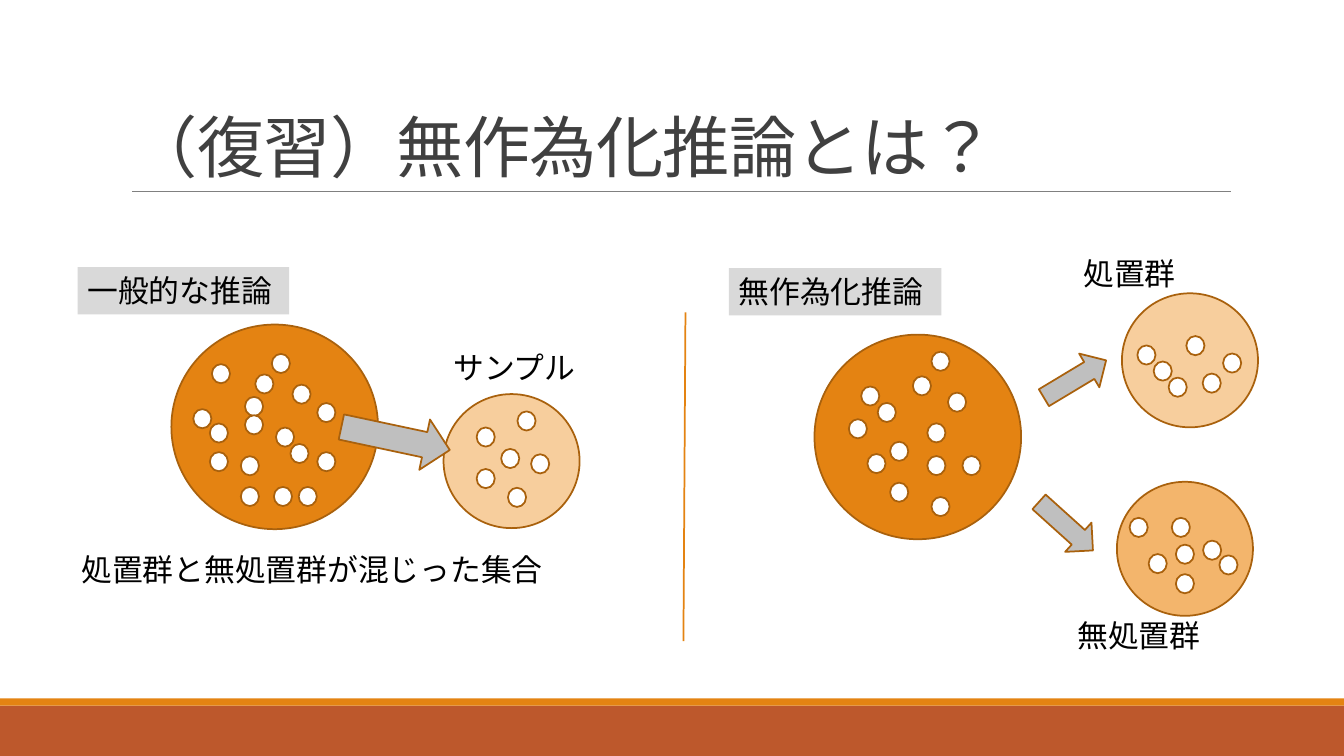
from dataclasses import dataclass

from lxml import etree
from pptx import Presentation
from pptx import util as u
from pptx.dml.color import RGBColor
from pptx.enum import lang, shapes, text
from pptx.oxml import ns

CELL = 0.1  # side of one grid cell in inches
COLS, ROWS = 133.33, 75
DOT_W, DOT_H = 1.8, 1.9
BIG = (20.5, 20.3)
SMALL = (13.5, 13.3)
LABEL_H = 4.7


@dataclass(frozen=True)
class Theme:
    font: str = "Calibri"
    title_size: float = 48
    body_size: float = 22
    outline_width: float = 1.25
    rule_width: float = 0.5
    title: str = "404040"
    ink: str = "000000"
    rule: str = "808080"
    accent: str = "E48312"
    footer: str = "BD582C"
    outline: str = "A9610D"
    treated: str = "F7CE9D"
    untreated: str = "F3B56C"
    arrow: str = "BFBFBF"
    tag: str = "D9D9D9"
    dot: str = "FFFFFF"


T = Theme()
OVAL = shapes.MSO_SHAPE.OVAL
RECT = shapes.MSO_SHAPE.RECTANGLE
ARROW = shapes.MSO_SHAPE.DOWN_ARROW

# Dot centres, in percent of the circle that holds them
MIXED_DOTS = [(24, 24), (45, 29), (40, 40), (40, 49), (55, 55), (62, 63), (75, 67),
              (15, 46), (23, 53), (23, 67), (38, 69), (38, 84), (54, 84), (66, 84),
              (75, 43), (63, 34), (53, 19)]
SAMPLE_DOTS = [(31, 32), (31, 63), (61, 20), (49, 48), (71, 52), (54, 77)]
POPULATION_DOTS = [(30, 63), (21, 46), (61, 13), (41, 57), (76, 64), (41, 77), (61, 84),
                   (27, 30), (35, 38), (59, 48), (52, 25), (69, 33), (59, 64)]
TREATED_DOTS = [(18, 46), (30, 58), (41, 70), (54, 39), (81, 52), (66, 67)]
UNTREATED_DOTS = [(30, 61), (16, 34), (50, 54), (70, 51), (50, 76), (47, 34), (82, 62)]


def grid(*cells):
    return [u.Inches(c * CELL) for c in cells]


def add_shape(s, kind, box, fill, outline=None, rotation=0):
    sp = s.shapes.add_shape(kind, *grid(*box))
    sp.shadow.inherit = False
    sp.rotation = rotation
    sp.fill.solid()
    sp.fill.fore_color.rgb = RGBColor.from_string(fill)
    if outline:
        sp.line.color.rgb = RGBColor.from_string(outline)
        sp.line.width = u.Pt(T.outline_width)
    else:
        sp.line.fill.background()
    return sp


def add_line(s, start, end, color, width):
    line = s.shapes.add_connector(shapes.MSO_CONNECTOR.STRAIGHT, *grid(*start, *end))
    line.line.color.rgb = RGBColor.from_string(color)
    line.line.width = u.Pt(width)
    etree.SubElement(line._element.spPr, ns.qn("a:effectLst"))


def write(sp, words, size=T.body_size, color=T.ink, anchor=text.MSO_ANCHOR.TOP):
    tf = sp.text_frame
    tf.word_wrap = True
    tf.vertical_anchor = anchor
    p = tf.paragraphs[0]
    p.alignment = text.PP_ALIGN.LEFT
    p.font.name = T.font
    p.font.size = u.Pt(size)
    p.font.color.rgb = RGBColor.from_string(color)
    r = p.add_run()
    r.text = words
    r.font.language_id = lang.MSO_LANGUAGE_ID.JAPANESE
    return p


def add_label(s, box, words):
    write(s.shapes.add_textbox(*grid(*box)), words)


def add_tag(s, box, words):
    write(add_shape(s, RECT, box, T.tag), words)


def add_arrow(s, box, rotation):
    add_shape(s, ARROW, box, T.arrow, T.outline, rotation)


def add_group(s, x, y, size, fill, dots):
    """A circle of people, each person a white dot."""
    w, h = size
    add_shape(s, OVAL, (x, y, w, h), fill, T.outline)
    for px, py in dots:
        left = x + w * px / 100 - DOT_W / 2
        top = y + h * py / 100 - DOT_H / 2
        add_shape(s, OVAL, (left, top, DOT_W, DOT_H), T.dot, T.outline)


def footer(s, x, y, w):
    add_shape(s, RECT, (x, y + 0.7, w, 5), T.footer)
    add_shape(s, RECT, (x, y, w, 0.7), T.accent)


def header(s, x, y, w, h):
    add_line(s, (x + 1.1, y + h), (x + 110.1, y + h), T.rule, T.rule_width)
    sp = s.shapes.add_textbox(*grid(x, y, w, h))
    p = write(sp, "（復習）無作為化推論とは？", T.title_size, T.title, text.MSO_ANCHOR.BOTTOM)
    p.line_spacing = 0.85
    p.runs[0]._r.get_or_add_rPr().set("spc", "-50")


def general_inference(s, x, y):
    add_tag(s, (x + 0.7, y + 0.5, 21, LABEL_H), "一般的な推論")
    add_group(s, x + 10, y + 6.2, BIG, T.accent, MIXED_DOTS)
    add_group(s, x + 37, y + 13.1, SMALL, T.treated, SAMPLE_DOTS)
    add_arrow(s, (x + 29.7, y + 12, 5.1, 11), 282)
    add_label(s, (x + 37, y + 8.1, 30, LABEL_H), "サンプル")
    add_label(s, (x + 0.1, y + 28.1, 50.4, LABEL_H), "処置群と無処置群が混じった集合")


def randomized_inference(s, x, y):
    add_tag(s, (x + 0.3, y + 2.6, 21.1, LABEL_H), "無作為化推論")
    add_group(s, x + 8.8, y + 9.2, BIG, T.accent, POPULATION_DOTS)
    add_group(s, x + 39.3, y + 5.1, SMALL, T.treated, TREATED_DOTS)
    add_group(s, x + 38.8, y + 23.8, SMALL, T.untreated, UNTREATED_DOTS)
    add_arrow(s, (x + 32.7, y + 10, 3.9, 7.2), 239)
    add_arrow(s, (x + 31.8, y + 24.6, 3.9, 7.2), 312)
    add_label(s, (x + 34.5, y + 0.8, 26.8, LABEL_H), "処置群")
    add_label(s, (x + 33.9, y + 36.7, 27.4, LABEL_H), "無処置群")


prs = Presentation()
prs.slide_width, prs.slide_height = grid(COLS, ROWS)
s = prs.slides.add_slide(prs.slide_layouts[6])

footer(s, 0, 69.3, COLS)
header(s, 12, 3.1, 110, 15.9)
general_inference(s, 7, 26)
add_line(s, (68, 31), (67.8, 63.6), T.accent, T.outline_width)  # divider
randomized_inference(s, 72, 24)

prs.save("out.pptx")
